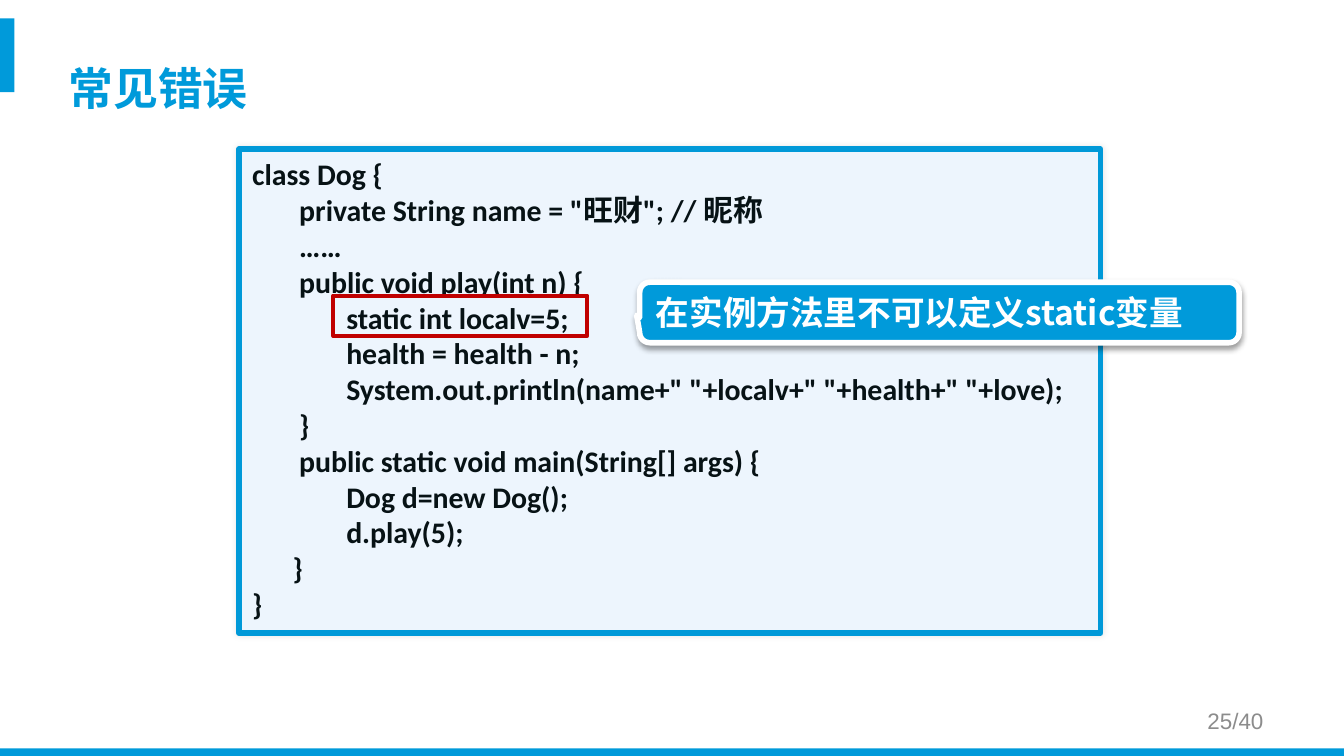
from lxml import etree
from pptx import Presentation
from pptx.dml.color import RGBColor
from pptx.enum.shapes import MSO_SHAPE
from pptx.enum.text import MSO_ANCHOR, MSO_AUTO_SIZE, PP_ALIGN
from pptx.oxml.ns import qn
from pptx.util import Pt

RECT, ROUND = MSO_SHAPE.RECTANGLE, MSO_SHAPE.ROUNDED_RECTANGLE
CALLOUT = MSO_SHAPE.ROUNDED_RECTANGULAR_CALLOUT
TOP, MIDDLE = MSO_ANCHOR.TOP, MSO_ANCHOR.MIDDLE
LEFT, RIGHT = PP_ALIGN.LEFT, PP_ALIGN.RIGHT
GROW, FIXED = MSO_AUTO_SIZE.SHAPE_TO_FIT_TEXT, MSO_AUTO_SIZE.NONE

BLUE = RGBColor(0x00, 0x9A, 0xDA)
EDGE = RGBColor(0x00, 0x99, 0xD8)
PALE = RGBColor(0xED, 0xF5, 0xFD)
INK = RGBColor(0x07, 0x12, 0x15)
RED = RGBColor(0xC0, 0x00, 0x00)
GREY = RGBColor(0x8C, 0x8C, 0x8C)
WHITE = RGBColor(0xFF, 0xFF, 0xFF)

CJK = "Noto Sans CJK SC"
SPACE = 3.6
CODE = [
    (0, "class Dog {"),
    (7, "private String name = \"旺财\"; // 昵称"),
    (7, "……"),
    (7, "public void play(int n) {"),
    (14, "static int localv=5;"),
    (14, "health = health - n;"),
    (14, "System.out.println(name+\" \"+localv+\" \"+health+\" \"+love);"),
    (7, "}"),
    (7, "public static void main(String[] args) {"),
    (14, "Dog d=new Dog();"),
    (14, "d.play(5);"),
    (6, "}"),
    (0, "}"),
]


class Page:
    """Holds the style and the current slide and draws each kind of element."""

    def __init__(self, slide):
        self.slide = slide

    def text(self, shape, lines, size, face, color, bold=True,
             align=LEFT, anchor=TOP, fit=FIXED):
        frame = shape.text_frame
        frame.word_wrap = True
        frame.auto_size = fit
        frame.vertical_anchor = anchor
        frame.text = "\n".join(words for _, words in lines)
        for para, (indent, _) in zip(frame.paragraphs, lines):
            para.alignment = align
            font = para.font
            font.size, font.name, font.bold = Pt(size), face, bold
            font.color.rgb = color
            props = para._p.get_or_add_pPr()
            props.set("marL", str(Pt(indent * SPACE)))
            east = etree.SubElement(props.find(qn("a:defRPr")), qn("a:ea"))
            east.set("typeface", CJK)

    def box(self, kind, at, fill=None, line=None, width=0, adjust=()):
        shape = self.slide.shapes.add_shape(kind, *map(Pt, at))
        shape.shadow.inherit = False
        for i, value in enumerate(adjust):
            shape.adjustments[i] = value
        if fill is None:
            shape.fill.background()
        else:
            shape.fill.solid()
            shape.fill.fore_color.rgb = fill
        if line is None:
            shape.line.fill.background()
        else:
            shape.line.color.rgb = line
            shape.line.width = Pt(width)
        return shape

    def shade(self, shape, alpha, blur, dist, angle):
        effects = shape._element.spPr.find(qn("a:effectLst"))
        outer = etree.SubElement(
            effects, qn("a:outerShdw"), blurRad=str(Pt(blur)),
            dist=str(Pt(dist)), dir=str(angle * 60000), rotWithShape="0")
        black = etree.SubElement(outer, qn("a:srgbClr"), val="000000")
        etree.SubElement(black, qn("a:alpha"), val=str(alpha * 1000))

    def title(self, words, at):
        shape = self.slide.shapes.title
        shape.left, shape.top, shape.width, shape.height = map(Pt, at)
        frame = shape.text_frame
        frame.margin_left = frame.margin_top = 0
        self.text(shape, [(0, words)], 24, CJK, BLUE, anchor=MIDDLE)

    def label(self, words, at):
        shape = self.slide.shapes.add_textbox(*map(Pt, at))
        self.text(shape, [(0, words)], 12, "Arial", GREY, bold=False,
                  align=RIGHT, anchor=MIDDLE)


def main():
    deck = Presentation()
    deck.slide_width, deck.slide_height = Pt(720), Pt(405)
    page = Page(deck.slides.add_slide(deck.slide_layouts[5]))

    page.box(RECT, (0, 9.8, 7.8, 39.6), BLUE)
    page.box(RECT, (0, 401, 720, 4), BLUE)
    page.title("常见错误", (36.7, 15.1, 648, 67.7))

    code = page.box(ROUND, (128, 80, 461.5, 259.2), PALE, EDGE, 3, [0])
    page.shade(code, 10, 3, 0, 0)
    page.text(code, CODE, 16, "Calibri", INK, fit=GROW)

    note = page.box(CALLOUT, (342.7, 151.2, 321.1, 32.4), BLUE, WHITE, 3,
                    [-0.505, 0.047, 0.167])
    page.shade(note, 38, 3.1, 1.6, 90)
    page.text(note, [(0, "在实例方法里不可以定义static变量")], 18, CJK, WHITE, fit=GROW)

    page.box(RECT, (178.6, 158.4, 136, 21.6), line=RED, width=2.25)
    page.label("25/40", (516.2, 375.1, 167.8, 21.6))
    deck.save("out.pptx")


if __name__ == "__main__":
    main()
